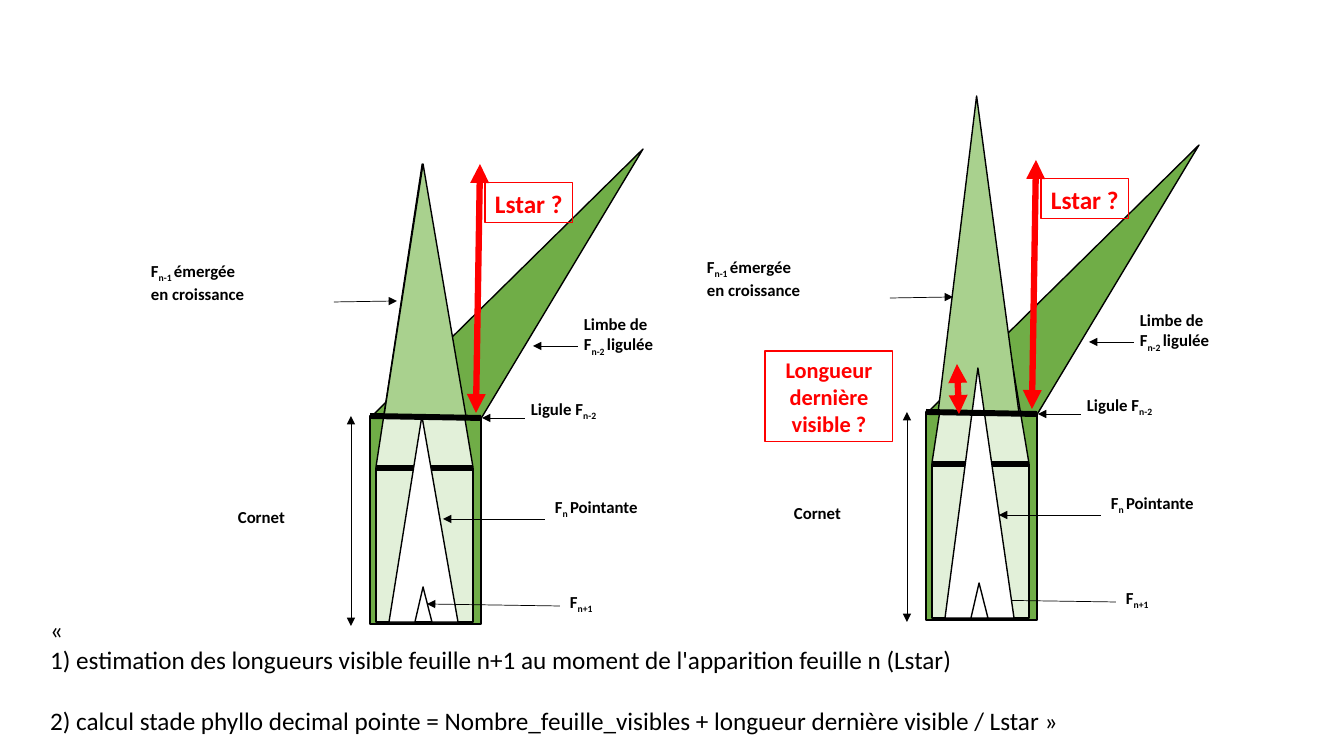
from lxml import etree
from pptx import Presentation
from pptx import util as u
from pptx.dml.color import RGBColor
from pptx.enum import shapes, text
from pptx.oxml import ns

PIXEL = 914400 / 100.8
BLACK, RED, WHITE = "000000", "FF0000", "FFFFFF"
DARK, MEDIUM, PALE = "70AD47", "A9D18E", "E2F0D9"

LABELS = [
    (228, 502, 92, 38, ["Cornet"]),
    (521, 394, 120, 38, ["Ligule F_n-2"]),
    (545, 492, 141, 38, ["F_n _Pointante"]),
    (560, 587, 61, 38, ["F_n+1"]),
    (574, 309, 125, 65, ["Limbe de", "F_n-2 _ligulée"]),
    (141, 256, 154, 65, ["F_n-1 _émergée", "en croissance"]),
]
POINTERS = [
    (525, 418, 482, 418),
    (578, 346, 533, 346),
    (334, 302, 397, 301),
    (545, 519, 443, 519),
    (560, 606, 427, 604),
]
NOTES = [
    ("«\u00a0", 0),
    ("1)\u00a0estimation des longueurs visible feuille n+1 au moment "
     "de l'apparition feuille n (Lstar)", 0),
    ("2) calcul stade phyllo decimal pointe = Nombre_feuille_visibles + "
     "longueur dernière visible / Lstar\u00a0»", 22),
]


def px(value):
    return u.Emu(round(value * PIXEL))


def colour(value):
    return RGBColor.from_string(value)


def apply(target, values):
    for name, value in values.items():
        setattr(target, name, value)


def paint(shape, fill, line=BLACK, width=1):
    shape.shadow.inherit = False
    if fill:
        shape.fill.solid()
        shape.fill.fore_color.rgb = colour(fill)
    else:
        shape.fill.background()
    shape.line.color.rgb = colour(line)
    shape.line.width = u.Pt(width)


def rectangle(page, area, fill, **style):
    shape = page.shapes.add_shape(shapes.MSO_SHAPE.RECTANGLE, *map(px, area))
    paint(shape, fill, **style)
    return shape


def triangle(page, area, fill):
    shape = page.shapes.add_shape(
        shapes.MSO_SHAPE.ISOSCELES_TRIANGLE, *map(px, area))
    shape.adjustments[0] = 0.477
    paint(shape, fill)


def polygon(page, points, fill):
    builder = page.shapes.build_freeform(*points[0], scale=PIXEL)
    builder.add_line_segments(points[1:], close=True)
    paint(builder.convert_to_shape(), fill)


def line(page, ends, width, ink=BLACK, heads=()):
    link = page.shapes.add_connector(
        shapes.MSO_CONNECTOR.STRAIGHT, *map(px, ends))
    link.line.color.rgb = colour(ink)
    link.line.width = u.Pt(width)
    for head in heads:
        etree.SubElement(link.line._ln, ns.qn("a:" + head), type="triangle")
    etree.SubElement(link._element.spPr, ns.qn("a:effectLst"))


def write(para, words, size, ink=BLACK, bold=True):
    for index, part in enumerate(words.split("_")):
        span = para.add_run()
        span.text = part
        apply(span.font, {"name": "Calibri", "size": u.Pt(size), "bold": bold})
        span.font.color.rgb = colour(ink)
        if index % 2:
            span._r.get_or_add_rPr().set("baseline", "-25000")


def label(page, area, rows):
    frame = page.shapes.add_textbox(*map(px, area)).text_frame
    frame.word_wrap = True
    for index, row in enumerate(rows):
        para = frame.add_paragraph() if index else frame.paragraphs[0]
        write(para, row, 12)


def question(page, area, words, size, align, wrap):
    box = rectangle(page, area, None, line=RED, width=0.75)
    apply(box.text_frame, {"word_wrap": wrap,
                           "vertical_anchor": text.MSO_ANCHOR.TOP})
    para = box.text_frame.paragraphs[0]
    para.alignment = align
    write(para, words, size, RED)


def plant(page, dx, dy, leaf, cone, cone_in_front):
    def move(area):
        left, top, *size = area
        return (left + dx, top + dy, *size)

    def shift(ends):
        return [value + (dy if i % 2 else dx) for i, value in enumerate(ends)]

    def draw_cone():
        triangle(page, move(cone), WHITE)
        triangle(page, move((415, 587, 17, 35)), WHITE)

    both = ("headEnd", "tailEnd")
    rectangle(page, move((370, 416, 111, 208)), DARK)
    blade = [(482, 417), (372, 416), (643, 149)]
    polygon(page, [move(point) for point in blade], DARK)
    line(page, shift((351, 626, 351, 416)), 0.5, heads=both)
    rectangle(page, move((376, 468, 97, 154)), PALE)
    triangle(page, move((376, 164, 97, 303)), PALE)
    line(page, shift((377, 468, 473, 468)), 4.25)
    if not cone_in_front:
        draw_cone()
    for ends in POINTERS:
        line(page, shift(ends), 0.5, heads=["tailEnd"])
    for *area, rows in LABELS:
        label(page, move(area), rows)
    triangle(page, move(leaf), MEDIUM)
    if cone_in_front:
        draw_cone()
    line(page, shift((370, 416, 481, 418)), 4.25)
    line(page, shift((476, 413, 480, 164)), 4.5, RED, both)
    question(page, move((485, 183, 88, 40)), "Lstar ?", 18,
             text.PP_ALIGN.LEFT, False)


def notes(body):
    apply(body, {"left": px(40), "top": px(609),
                 "width": px(1215), "height": px(132)})
    frame = body.text_frame
    apply(frame, {"word_wrap": True, "auto_size": text.MSO_AUTO_SIZE.NONE,
                  "vertical_anchor": text.MSO_ANCHOR.TOP})
    for index, (words, gap) in enumerate(NOTES):
        para = frame.add_paragraph() if index else frame.paragraphs[0]
        apply(para, {"space_before": u.Pt(gap), "space_after": u.Pt(0),
                     "line_spacing": 1.0})
        properties = para._p.get_or_add_pPr()
        properties.set("marL", "0")
        properties.set("indent", "0")
        etree.SubElement(properties, ns.qn("a:buNone"))
        span = para.add_run()
        span.text = words
        apply(span.font, {"name": "Calibri", "size": u.Pt(18)})
        span.font.color.rgb = colour(BLACK)


def main():
    deck = Presentation()
    apply(deck, {"slide_width": px(1344), "slide_height": px(756)})
    page = deck.slides.add_slide(deck.slide_layouts[1])
    title = page.shapes.title._element
    title.getparent().remove(title)
    plant(page, 0, 0, (384, 164, 82, 252), (389, 416, 69, 206), False)
    plant(page, 556, -4, (382, 100, 81, 317), (389, 372, 69, 250), True)
    line(page, (959, 414, 957, 364), 4.5, RED, ("headEnd", "tailEnd"))
    question(page, (765, 351, 128, 91), "Longueur dernière visible ?", 16,
             text.PP_ALIGN.CENTER, True)
    notes(page.placeholders[1])
    deck.save("out.pptx")


main()
